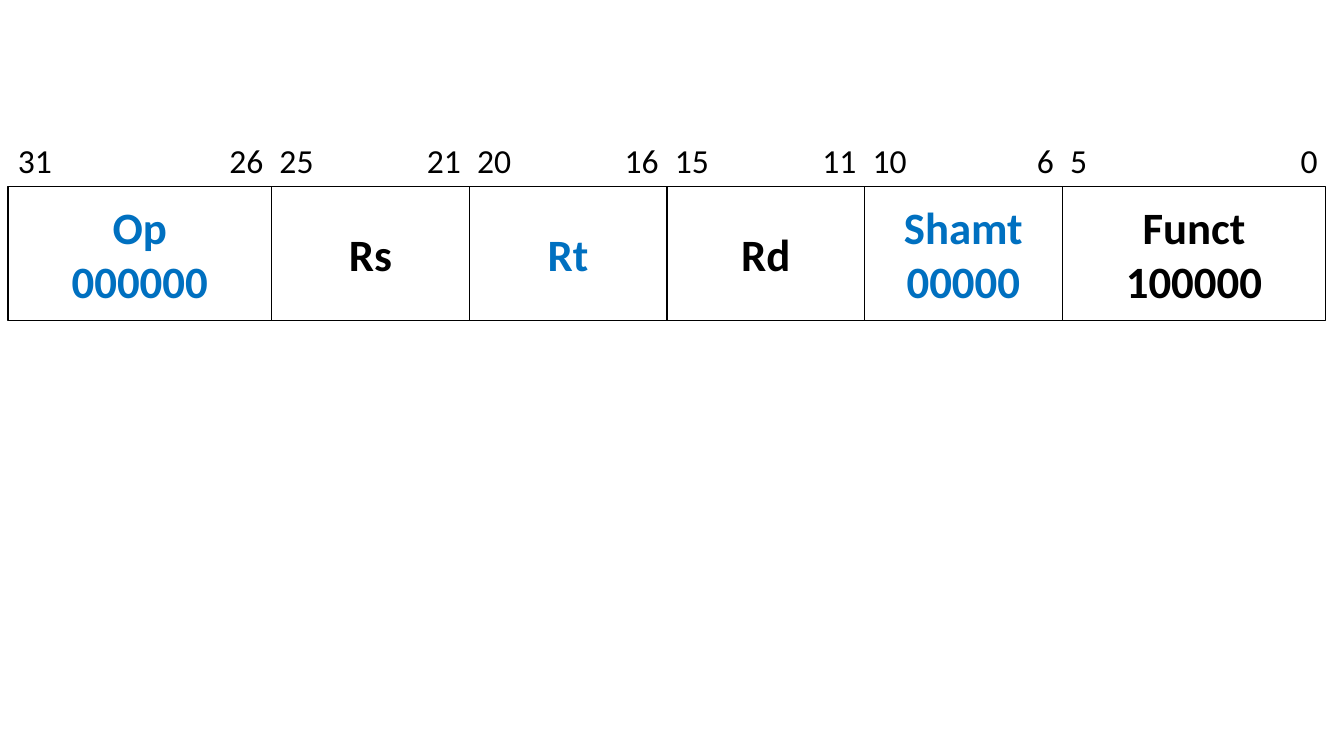
from itertools import accumulate

from lxml.etree import SubElement as Sub
from pptx import Presentation
from pptx.dml.color import RGBColor as Rgb
from pptx.enum.shapes import MSO_SHAPE as Kind
from pptx.enum.text import MSO_ANCHOR as Anchor, PP_ALIGN as Align
from pptx.oxml.ns import qn
from pptx.util import Inches as In, Pt

WIDE, HIGH = 13.33, 7.5
LEFT, SPAN, COLS = 0.08, 13.07, 20
COL = SPAN / COLS
TOP, TALL = 1.85, 1.33
BITS_TOP, BITS_TALL = 1.34, 0.5
PAD, GAP = 0.1, 0.08
BLACK, BLUE = "000000", "0070C0"

# label lines, grid columns, number of bits, colour
FIELDS = [
    ("Op\n000000", 4, 6, BLUE),
    ("Rs", 3, 5, BLACK),
    ("Rt", 3, 5, BLUE),
    ("Rd", 3, 5, BLACK),
    ("Shamt\n00000", 3, 5, BLUE),
    ("Funct\n100000", 4, 6, BLACK),
]


def paint(part, tone):
    """Give a font or a fill a solid colour from a hex string."""
    fill = getattr(part, "fill", part)
    fill.solid()
    fill.fore_color.rgb = Rgb.from_string(tone)


def style(para, tone, align, **form):
    """Format one paragraph and its font."""
    para.alignment = align
    for key, value in {"name": "Calibri", **form}.items():
        setattr(para.font, key, value)
    paint(para.font, tone)


def add_field(slide, col, cols, label, tone):
    """Draw one outlined field with its centred label."""
    box = slide.shapes.add_shape(
        Kind.RECTANGLE, In(LEFT + col * COL), In(TOP), In(cols * COL), In(TALL))
    box.shadow.inherit = False
    box.fill.background()
    paint(box.line, BLACK)
    box.line.width = Pt(1)
    frame = box.text_frame
    frame.word_wrap = False
    frame.vertical_anchor = Anchor.MIDDLE
    frame.text = label
    for para in frame.paragraphs:
        style(para, tone, Align.CENTER, size=Pt(32), bold=True)


def add_bits(slide, ends):
    """Write the first and last bit of each field on one tabbed line."""
    box = slide.shapes.add_textbox(
        In(LEFT), In(BITS_TOP), In(SPAN), In(BITS_TALL))
    frame = box.text_frame
    frame.word_wrap = True
    frame.margin_left, frame.margin_right = In(PAD), 0
    lows = list(accumulate((bits for _, _, bits, _ in FIELDS),
                           lambda low, bits: low - bits, initial=32))
    pairs = zip(lows, lows[1:])
    frame.text = "\t".join(f"{top - 1}\t{low}" for top, low in pairs)
    para = frame.paragraphs[0]
    style(para, BLACK, Align.LEFT, size=Pt(24))
    tabs = Sub(para._p.get_or_add_pPr(), qn("a:tabLst"))
    for end in ends:
        for shift, algn in ((-GAP, "r"), (GAP, "l")):
            spot = end * COL - PAD + shift
            if spot < SPAN - PAD:
                Sub(tabs, qn("a:tab"), pos=str(In(spot)), algn=algn)
    # tab stops must come before the default run format
    props = para._p.pPr
    props.insert(0, tabs)


def main():
    """Build the instruction format slide."""
    deck = Presentation()
    deck.slide_width, deck.slide_height = In(WIDE), In(HIGH)
    slide = deck.slides.add_slide(deck.slide_layouts[6])
    ends = list(accumulate(cols for _, cols, _, _ in FIELDS))
    for end, (label, cols, _, tone) in zip(ends, FIELDS):
        add_field(slide, end - cols, cols, label, tone)
    add_bits(slide, ends)
    deck.save("out.pptx")


main()
